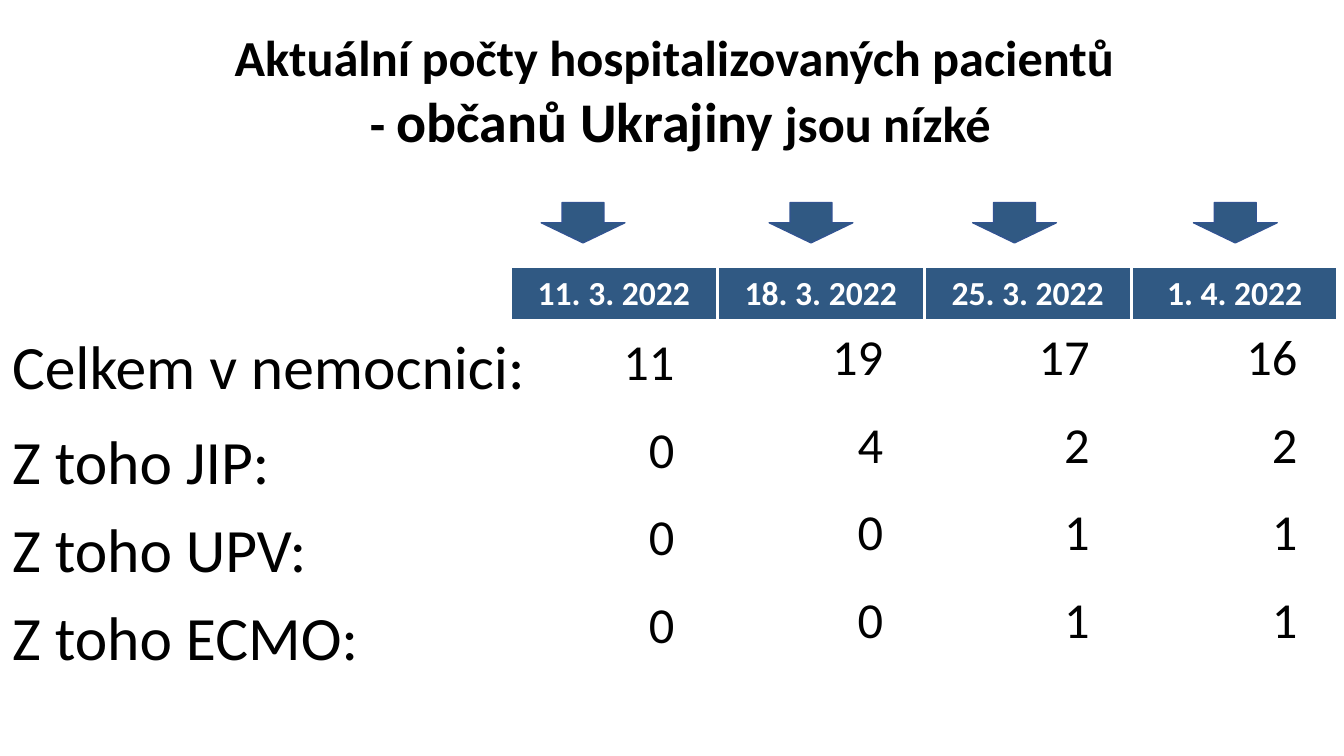
"""Build a slide on hospital counts of Ukrainian citizens by date."""
from pptx import Presentation
from pptx.dml.color import RGBColor
from pptx.enum import shapes, text
from pptx.util import Pt

BLUE = RGBColor(0x30, 0x59, 0x83)
EDGE = RGBColor(0x32, 0x54, 0x91)
BLACK = RGBColor(0, 0, 0)
WHITE = RGBColor(255, 255, 255)
PLAIN = "{2D5ABB26-0587-4C30-8999-92F81FD0307C}"
LEFT, MID, RIGHT = text.PP_ALIGN.LEFT, text.PP_ALIGN.CENTER, text.PP_ALIGN.RIGHT
TOP, HALF, LOW = text.MSO_ANCHOR.TOP, text.MSO_ANCHOR.MIDDLE, text.MSO_ANCHOR.BOTTOM


def write(para, words, size=36, bold=False, color=BLACK, align=LEFT):
    para.alignment = align
    run = para.add_run()
    run.text = words
    font = run.font
    font.name, font.size, font.bold = "Calibri", Pt(size), bold
    font.color.rgb = color


def stack(rows, left, top, width, highs, anchor=HALF, fill=None, **look):
    frame = slide.shapes.add_table(
        len(rows), 1, Pt(left), Pt(top), Pt(width), Pt(sum(highs)))
    table = frame.table
    table.first_row = table.horz_banding = False
    table._tbl.tblPr[0].text = PLAIN
    for i, (words, high) in enumerate(zip(rows, highs)):
        table.rows[i].height = Pt(high)
        cell = table.cell(i, 0)
        cell.vertical_anchor = anchor
        if fill:
            cell.fill.solid()
            cell.fill.fore_color.rgb = fill
        else:
            cell.fill.background()
            cell.margin_left = cell.margin_right = cell.margin_top = Pt(0.7)
            cell.margin_bottom = Pt(0)
        write(cell.text_frame.paragraphs[0], words, **look)


deck = Presentation()
deck.slide_width, deck.slide_height = Pt(960), Pt(540)
slide = deck.slides.add_slide(deck.slide_layouts[6])

title = slide.shapes.add_textbox(Pt(12.2), Pt(15.1), Pt(947.8), Pt(99.4)).text_frame
title.word_wrap = True
write(title.paragraphs[0], "Aktuální počty hospitalizovaných pacientů ", bold=True, align=MID)
line = title.add_paragraph()
for words, size in [("- ", 36), ("občanů Ukrajiny", 40), (" jsou nízké", 36)]:
    write(line, words, size=size, bold=True, align=MID)

names = ["Celkem v nemocnici:", "Z toho JIP:", "Z toho UPV:", "Z toho ECMO:"]
stack(names, 7.9, 227.5, 410.4, [62.8, 67.8, 62.8, 62.8], anchor=LOW, size=44)

days = [
    ("11. 3. 2022", ["11", "0", "0", "0"], 386.6, 357.8, 227.5),
    ("18. 3. 2022", ["19", "4", "0", "0"], 549.4, 506.9, 223.9),
    ("25. 3. 2022", ["17", "2", "1", "1"], 694.8, 654.5, 223.9),
    ("1. 4. 2022", ["16", "2", "1", "1"], 852.5, 802.8, 223.9),
]
for i, (day, counts, tip, left, top) in enumerate(days):
    stack([day], 365.8 + 147.8 * i, 191.5, 145.4, [36], anchor=TOP, fill=BLUE,
          size=24, bold=True, color=WHITE, align=MID)
    stack(counts, left, top, 124.6, [62.8] * 4, align=RIGHT)
    arrow = slide.shapes.add_shape(
        shapes.MSO_SHAPE.DOWN_ARROW, Pt(tip), Pt(144.7), Pt(59.8), Pt(28.8))
    arrow.shadow.inherit = False
    arrow.fill.solid()
    arrow.fill.fore_color.rgb = BLUE
    arrow.line.color.rgb = EDGE
    arrow.line.width = Pt(1)

deck.save("out.pptx")
